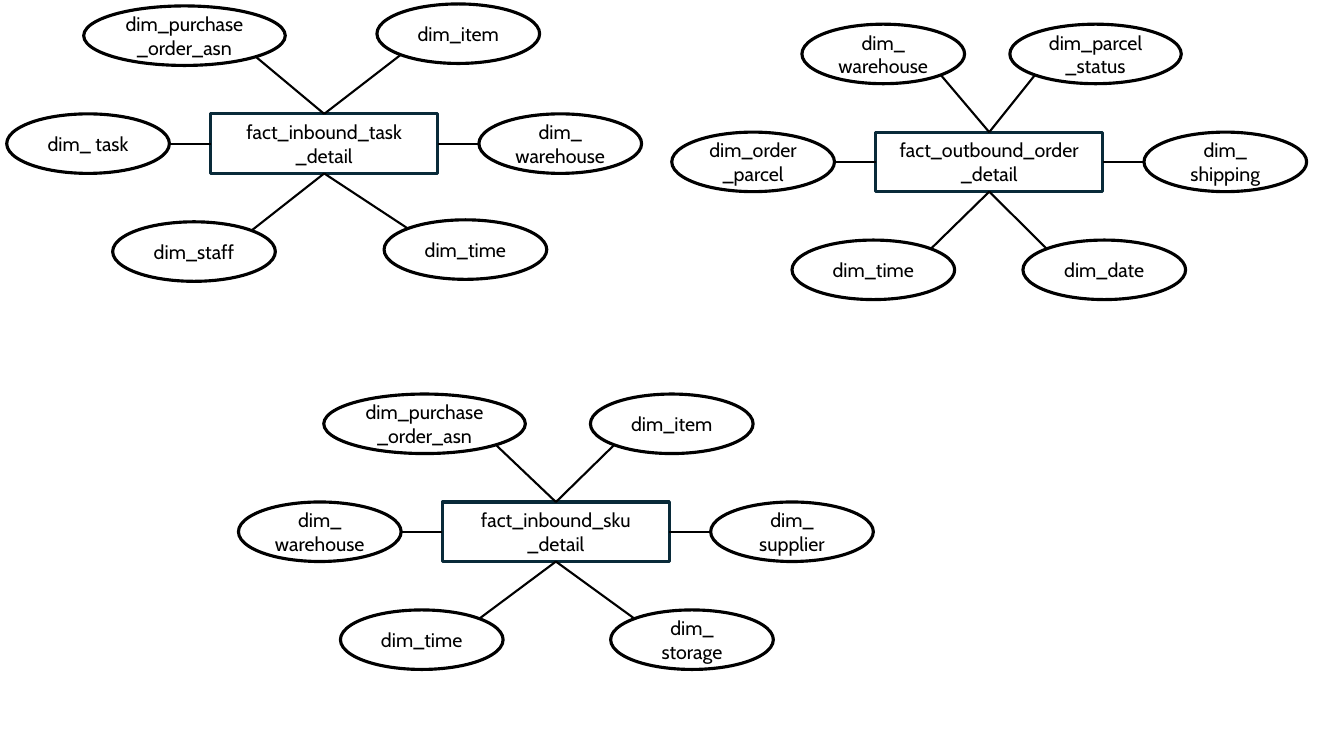
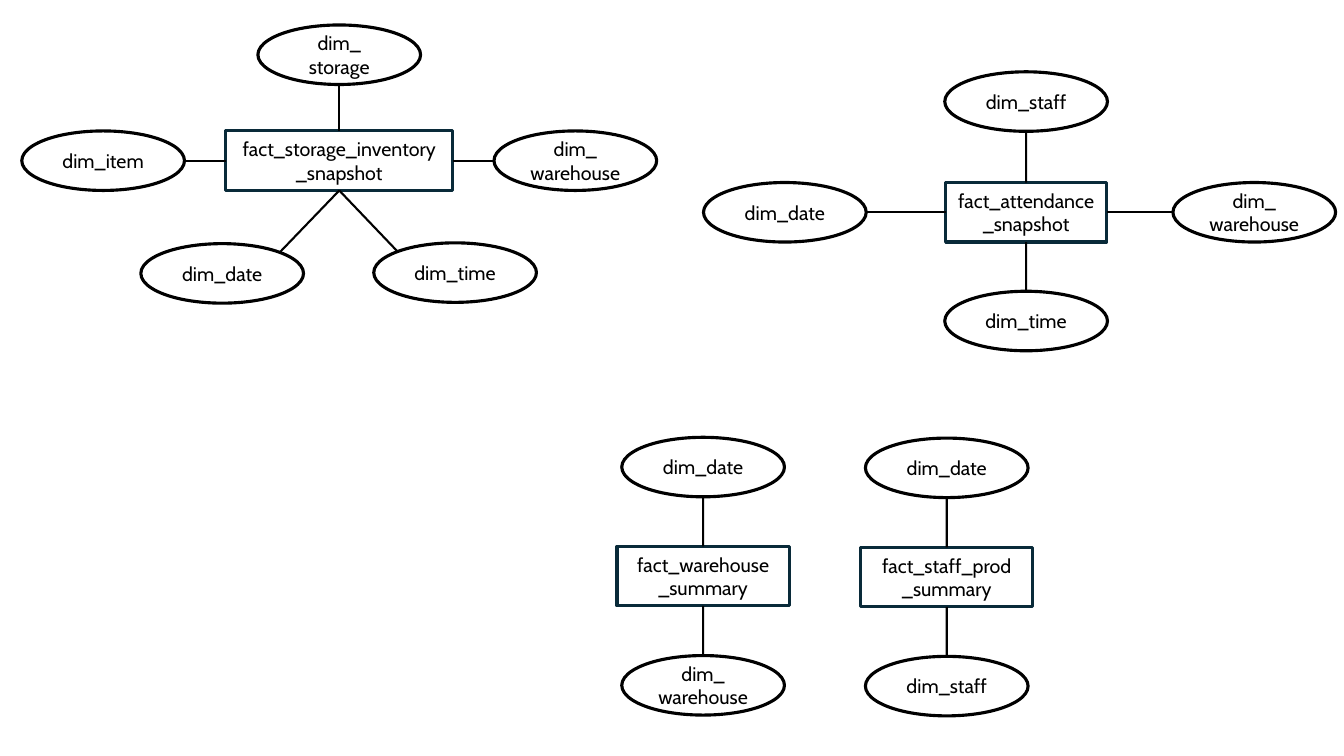
import math

import pptx
import pptx.dml.color
import pptx.enum.shapes
import pptx.enum.text
import pptx.oxml.ns
import pptx.util
from lxml import etree

Cm = pptx.util.Cm
Pt = pptx.util.Pt
SHAPE = pptx.enum.shapes.MSO_SHAPE

COLOURS = {"fact": "092A39", "dim": "000000", "link": "000000", "text": "000000"}

# Sizes and usual offsets from a fact to its dimensions, in centimetres
NODE_HEIGHT = 1.5
DIM_WIDTH = 4.1
ORDER_WIDTH = 5.08
FACT_WIDTH = 5.72
SUMMARY_WIDTH = 4.34
SIDE = 5.95
ROW = 2.72

# Connection sites by direction: eight on an ellipse, four on a rectangle
ELLIPSE_SITES = {(0, -1): 0, (-1, -1): 1, (-1, 0): 2, (-1, 1): 3,
                 (0, 1): 4, (1, 1): 5, (1, 0): 6, (1, -1): 7}
TOP, LEFT, BOTTOM, RIGHT = range(4)

# Each star: fact name, centre x, centre y, width,
# and its dimensions: name, x offset, y offset, optional width
PAGES = [
    [
        ("fact_inbound_task _detail", 8.17, 3.62, FACT_WIDTH, [
            ("dim_purchase_order_asn", -3.52, -ROW, ORDER_WIDTH),
            ("dim_item", 3.38, -2.77),
            ("dim_ task", -SIDE, 0),
            ("dim_ warehouse", SIDE, 0),
            ("dim_staff", -3.28, ROW),
            ("dim_time", 3.56, 2.67),
        ]),
        ("fact_outbound_order _detail", 24.93, 4.08, FACT_WIDTH, [
            ("dim_ warehouse", -2.67, -ROW),
            ("dim_parcel_status", 2.68, -ROW, 4.32),
            ("dim_order_parcel", -SIDE, 0),
            ("dim_ shipping", SIDE, 0),
            ("dim_time", -2.92, ROW),
            ("dim_date", 2.9, ROW),
        ]),
        ("fact_inbound_sku _detail", 14.01, 13.4, FACT_WIDTH, [
            ("dim_purchase_order_asn", -3.31, -ROW, ORDER_WIDTH),
            ("dim_item", 2.92, -ROW),
            ("dim_ warehouse", -SIDE, 0),
            ("dim_ supplier", SIDE, 0),
            ("dim_time", -3.38, ROW),
            ("dim_ storage", 3.43, ROW),
        ]),
    ],
    [
        ("fact_storage_inventory _snapshot", 8.55, 4.05, FACT_WIDTH, [
            ("dim_ storage", 0, -2.67),
            ("dim_item", -SIDE, 0),
            ("dim_ warehouse", SIDE, 0),
            ("dim_date", -2.95, 2.84),
            ("dim_time", 2.92, 2.82),
        ]),
        ("fact_attendance_snapshot", 25.86, 5.35, 4.06, [
            ("dim_staff", 0, -2.79),
            ("dim_date", -6.08, 0),
            ("dim_ warehouse", 5.75, 0),
            ("dim_time", 0, 2.74),
        ]),
        ("fact_warehouse _summary", 17.72, 14.52, SUMMARY_WIDTH, [
            ("dim_date", 0, -2.75),
            ("dim_ warehouse", 0, 2.75),
        ]),
        ("fact_staff_prod _summary", 23.86, 14.54, SUMMARY_WIDTH, [
            ("dim_date", 0, -2.75),
            ("dim_staff", 0, 2.75),
        ]),
    ],
]


def sign(number):
    return (number > 0) - (number < 0)


def colour(name):
    return pptx.dml.color.RGBColor.from_string(COLOURS[name])


class SchemaDeck:
    """Style of the star schemas and the slide being drawn."""

    font = "Cabin"
    text_size = Pt(14)
    outline = Pt(2.25)
    link_width = Pt(1.5)

    def __init__(self):
        self.deck = pptx.Presentation()
        self.deck.slide_width = Cm(33.87)
        self.deck.slide_height = Cm(19.05)
        self.page = None

    def add_page(self):
        self.page = self.deck.slides.add_slide(self.deck.slide_layouts[6])

    def node(self, kind, label, x, y, width):
        """Outlined, labelled shape centred on x, y."""
        preset = SHAPE.RECTANGLE if kind == "fact" else SHAPE.OVAL
        box = self.page.shapes.add_shape(
            preset, Cm(x - width / 2), Cm(y - NODE_HEIGHT / 2),
            Cm(width), Cm(NODE_HEIGHT))
        box.shadow.inherit = False
        box.fill.background()
        box.line.color.rgb = colour(kind)
        box.line.width = self.outline
        frame = box.text_frame
        frame.word_wrap = True
        frame.vertical_anchor = pptx.enum.text.MSO_ANCHOR.MIDDLE
        frame.text = label
        para = frame.paragraphs[0]
        para.alignment = pptx.enum.text.PP_ALIGN.CENTER
        span = para.runs[0]
        span.font.name = self.font
        span.font.size = self.text_size
        span.font.color.rgb = colour("text")
        return box

    def link(self, dim, fact, dx, dy):
        """Line from the ellipse's facing site to the rectangle's side."""
        toward = (-sign(dx), -sign(dy))
        reach = math.hypot(*toward)
        start_x = dim.left + round(dim.width / 2 * (1 + toward[0] / reach))
        start_y = dim.top + round(dim.height / 2 * (1 + toward[1] / reach))
        if dy:
            fact_site = TOP if dy < 0 else BOTTOM
        else:
            fact_site = LEFT if dx < 0 else RIGHT

        line = self.page.shapes.add_connector(
            pptx.enum.shapes.MSO_CONNECTOR.STRAIGHT,
            start_x, start_y, start_x, start_y)
        line.end_connect(fact, fact_site)
        line.line.color.rgb = colour("link")
        line.line.width = self.link_width

        # Attach the diagonal sites too, and switch the shadow off
        start = line.element.nvCxnSpPr.cNvCxnSpPr.get_or_add_stCxn()
        start.id = dim.shape_id
        start.idx = ELLIPSE_SITES[toward]
        etree.SubElement(line.element.spPr, pptx.oxml.ns.qn("a:effectLst"))

    def star(self, label, x, y, width, dims):
        """Fact table with its dimensions around it."""
        fact = self.node("fact", label, x, y, width)
        for name, dx, dy, *own_width in dims:
            dim_width = own_width[0] if own_width else DIM_WIDTH
            dim = self.node("dim", name, x + dx, y + dy, dim_width)
            self.link(dim, fact, dx, dy)


def main():
    schemas = SchemaDeck()
    for stars in PAGES:
        schemas.add_page()
        for star in stars:
            schemas.star(*star)
    schemas.deck.save("out.pptx")


if __name__ == "__main__":
    main()
